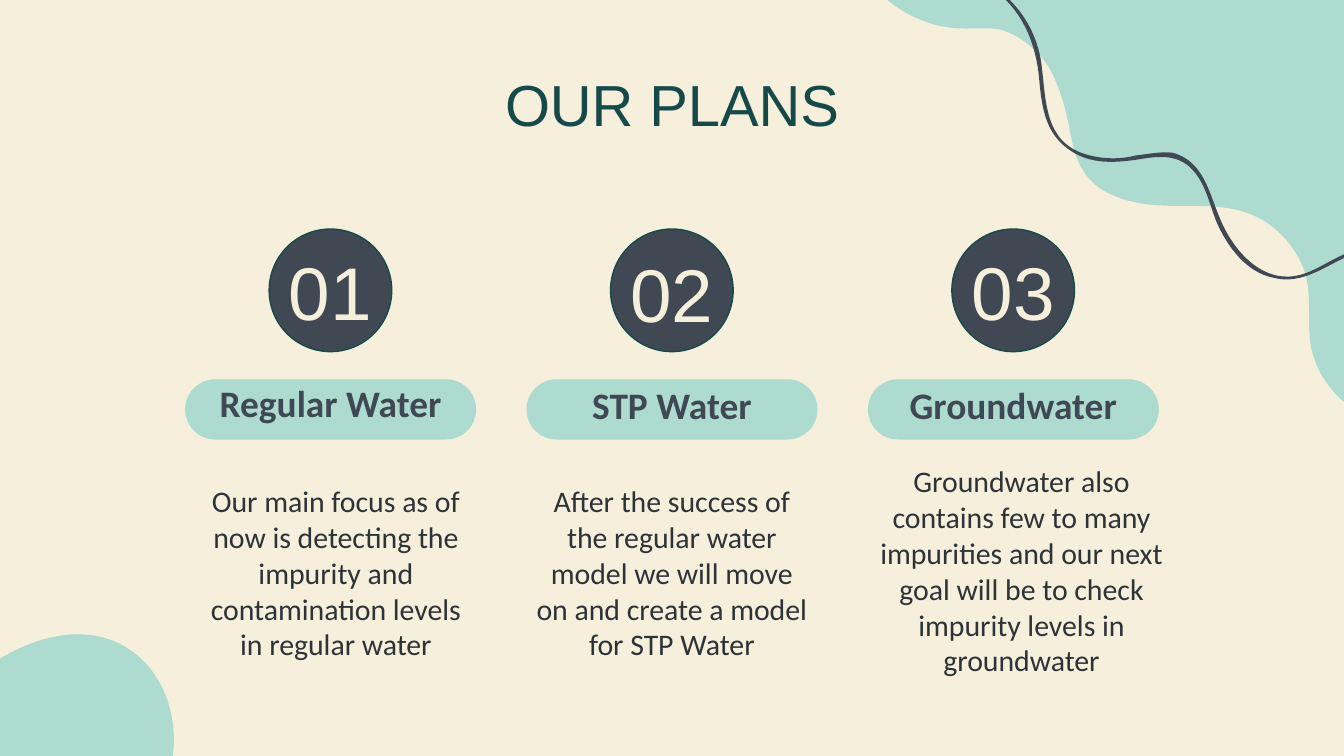
"""Build the "Our plans" slide with three numbered columns."""
from math import cos, radians, sin

from lxml.etree import SubElement
from pptx import Presentation
from pptx.dml.color import RGBColor
from pptx.enum.shapes import MSO_SHAPE
from pptx.enum.text import MSO_ANCHOR, MSO_AUTO_SIZE, PP_ALIGN
from pptx.oxml.ns import qn
from pptx.util import Pt

CREAM = RGBColor(0xF6, 0xEF, 0xDC)
MINT = RGBColor(0xAD, 0xDB, 0xD0)
SLATE = RGBColor(0x3F, 0x48, 0x53)
TEAL = RGBColor(0x16, 0x4A, 0x4A)
CHARCOAL = RGBColor(0x2E, 0x33, 0x38)

COLUMN_PITCH = 182.88
OUTLINE_UNIT = Pt(0.72)
STROKE_CENTER = (879, 86)
STROKE_ROTATION = 53

CORNER_BLOB = [
    (58, 472), (57, 472, 56, 472, 55, 472), (33, 473, 12, 482, -6, 494),
    (-48, 521, -77, 567, -88, 616), (104, 616),
    (118, 598, 128, 578, 129, 559), (133, 514, 105, 472, 58, 472),
]
TOP_WAVE = [
    (975, 255), (973, 241, 975, 227, 973, 212), (970, 190, 953, 169, 932, 160),
    (911, 151, 887, 154, 865, 153), (843, 152, 817, 146, 806, 127),
    (800, 118, 798, 107, 796, 97), (793, 81, 789, 66, 781, 51),
    (773, 38, 759, 26, 744, 22), (733, 20, 722, 22, 711, 21),
    (682, 19, 656, 1, 639, -22), (638, -23, 637, -24, 636, -25),
    (644, -39, 652, -55, 667, -60), (693, -70, 719, -44, 747, -42),
    (769, -40, 789, -53, 808, -65), (851, -91, 904, -110, 951, -91),
    (963, -87, 974, -80, 983, -72), (1001, -56, 1015, -35, 1022, -12),
    (1033, 25, 1028, 66, 1035, 103), (1035, 317),
    (1034, 317, 1033, 317, 1032, 317), (1003, 308, 979, 284, 975, 255),
]
WINDING_STROKE = [
    (1092, 189), (1074, 181, 1053, 178, 1033, 180),
    (1023, 182, 1014, 184, 1005, 188), (993, 192, 983, 200, 971, 204),
    (941, 214, 918, 187, 908, 162), (900, 143, 896, 120, 873, 114),
    (864, 113, 855, 115, 846, 116), (834, 119, 821, 119, 808, 115),
    (779, 106, 779, 78, 776, 52), (772, 8, 736, -24, 692, -24),
    (683, -25, 675, -23, 666, -20), (665, -20, 666, -17, 667, -18),
    (692, -26, 718, -22, 739, -8), (762, 8, 772, 34, 774, 61),
    (776, 82, 779, 101, 798, 113), (815, 124, 835, 121, 854, 118),
    (868, 116, 880, 117, 889, 128), (898, 138, 901, 154, 906, 166),
    (914, 184, 928, 203, 948, 207), (970, 213, 988, 197, 1008, 189),
    (1031, 181, 1056, 180, 1079, 187), (1083, 188, 1087, 189, 1091, 191),
    (1093, 192, 1094, 189, 1092, 189),
]

COLUMNS = [
    {"number": "01", "number_top": 122.7,
     "heading": "Regular Water", "heading_top": 208.08,
     "body": "Our main focus as of now is detecting the impurity and "
             "contamination levels in regular water",
     "body_box": (105.84, 258.7, 148.32, 62.64)},
    {"number": "02", "number_top": 123.84,
     "heading": "STP Water", "heading_top": 209.52,
     "body": "After the success of the regular water model we will move on "
             "and create a model for STP Water",
     "body_box": (285.84, 258.7, 148.32, 62.64)},
    {"number": "03", "number_top": 122.7,
     "heading": "Groundwater", "heading_top": 209.52,
     "body": "Groundwater also contains few to many impurities and our next "
             "goal will be to check impurity levels in groundwater",
     "body_box": (465.6, 248.1, 163.44, 62.64)},
]


def place(shape, left, top, width, height):
    """Move and size a shape, in points."""
    shape.left, shape.top = Pt(left), Pt(top)
    shape.width, shape.height = Pt(width), Pt(height)


def set_text(shape, text, *, font, size, color, bold=False, spacing=1.0,
             anchor=MSO_ANCHOR.TOP):
    """Write one centred paragraph into a shape without insets."""
    frame = shape.text_frame
    frame.word_wrap = True
    frame.auto_size = MSO_AUTO_SIZE.NONE
    frame.vertical_anchor = anchor
    frame.margin_left = frame.margin_right = 0
    frame.margin_top = frame.margin_bottom = 0
    paragraph = frame.paragraphs[0]
    paragraph.alignment = PP_ALIGN.CENTER
    paragraph.line_spacing = spacing
    run = paragraph.add_run()
    run.text = text
    run.font.name = font
    run.font.size = Pt(size)
    run.font.bold = bold
    run.font.color.rgb = color


def add_text(slide, box, text, **text_format):
    """Add a text box at a box given in points."""
    shape = slide.shapes.add_textbox(*map(Pt, box))
    set_text(shape, text, **text_format)


def paint(shape, fill, line=None):
    """Give a shape a flat fill and an optional thin line."""
    shape.shadow.inherit = False
    shape.fill.solid()
    shape.fill.fore_color.rgb = fill
    if line is None:
        shape.line.fill.background()
    else:
        shape.line.color.rgb = line
        shape.line.width = Pt(0.75)


def add_preset(slide, kind, box, fill, line=None):
    """Add a painted preset shape at a box given in points."""
    shape = slide.shapes.add_shape(kind, *map(Pt, box))
    paint(shape, fill, line)
    return shape


def turn_back(point, center, degrees):
    """Turn a point counter-clockwise about a center."""
    angle = radians(degrees)
    x, y = point[0] - center[0], point[1] - center[1]
    return (center[0] + x * cos(angle) + y * sin(angle),
            center[1] - x * sin(angle) + y * cos(angle))


def add_outline(slide, outline, fill, center=(0, 0), rotation=0):
    """Add a closed shape from a start point, straight sides and cubic curves."""
    points = [turn_back(part[i:i + 2], center, rotation)
              for part in outline for i in range(0, len(part), 2)]
    scaled = [(x * OUTLINE_UNIT, y * OUTLINE_UNIT) for x, y in points]
    builder = slide.shapes.build_freeform(*scaled[0])
    builder.add_line_segments(scaled[1:], close=True)
    shape = builder.convert_to_shape()
    sides = list(shape.element.iter(qn("a:lnTo")))
    for part in outline[1:]:
        first, *others = sides[:len(part) // 2]
        del sides[:len(part) // 2]
        if others:
            curve = SubElement(first.getparent(), qn("a:cubicBezTo"))
            first.addprevious(curve)
            for side in (first, *others):
                curve.append(side[0])
                side.getparent().remove(side)
    paint(shape, fill)
    shape.rotation = rotation


def add_column_shapes(slide, offset):
    """Add the heading pill and the number circle of a column."""
    pill = add_preset(slide, MSO_SHAPE.ROUNDED_RECTANGLE,
                      (99.2 + offset, 203.2, 155.9, 32.3), MINT)
    pill.adjustments[0] = 0.5
    add_preset(slide, MSO_SHAPE.OVAL, (144.2 + offset, 122.7, 65.7, 65.7), SLATE, TEAL)


def add_column_texts(slide, offset, column):
    """Add the number, the heading and the body text of a column."""
    add_text(slide, (144.2 + offset, column["number_top"], 65.7, 65.7), column["number"],
             font="Arial", size=40, color=CREAM, anchor=MSO_ANCHOR.MIDDLE)
    add_text(slide, (102.96 + offset, column["heading_top"], 148.32, 21.6),
             column["heading"], font="Calibri", size=20, color=SLATE, bold=True,
             spacing=0.8)
    add_text(slide, column["body_box"], column["body"],
             font="Calibri", size=16, color=CHARCOAL)


def main():
    """Build and save the presentation."""
    presentation = Presentation()
    presentation.slide_width, presentation.slide_height = Pt(720), Pt(405)
    slide = presentation.slides.add_slide(presentation.slide_layouts.get_by_name("Title Only"))
    slide.background.fill.solid()
    slide.background.fill.fore_color.rgb = CREAM
    add_outline(slide, CORNER_BLOB, MINT)
    add_outline(slide, TOP_WAVE, MINT)
    add_outline(slide, WINDING_STROKE, SLATE, STROKE_CENTER, STROKE_ROTATION)
    title = slide.shapes.title
    place(title, 56.16, 36.72, 607.68, 36)
    set_text(title, "OUR PLANS", font="Arial", size=31, color=TEAL)
    for index in range(len(COLUMNS)):
        add_column_shapes(slide, index * COLUMN_PITCH)
    for index, column in enumerate(COLUMNS):
        add_column_texts(slide, index * COLUMN_PITCH, column)
    presentation.save("out.pptx")


if __name__ == "__main__":
    main()
